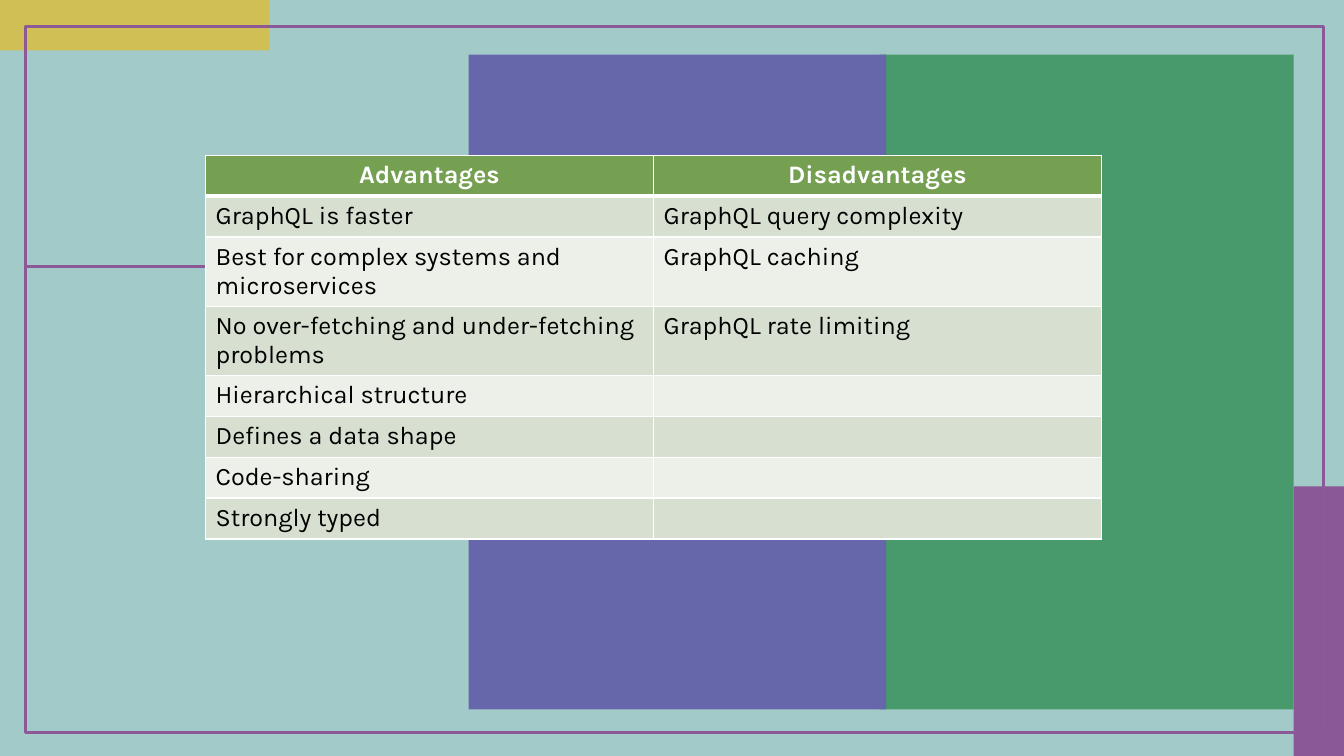
from lxml.etree import SubElement
from pptx import Presentation
from pptx.dml.color import RGBColor
from pptx.enum.shapes import MSO_CONNECTOR as Connector, MSO_SHAPE as Preset
from pptx.enum.text import PP_ALIGN as Align
from pptx.oxml.ns import qn
from pptx.util import Cm, Pt

COLORS = {
    "background": "A1CAC9",
    "gold": "CFBF54",
    "purple": "8A5897",
    "green": "48996B",
    "violet": "6667AB",
    "frame": "8C5896",
    "header": "759F51",
    "odd_row": "D6DFD0",
    "even_row": "ECF0E9",
    "white": "FFFFFF",
    "black": "000000",
}
SLIDE_WIDTH, SLIDE_HEIGHT = 33.87, 19.05
BAR_LENGTH, BAR_THICKNESS = 6.79, 1.27
FRAME_WEIGHT = 2

ADVANTAGES = [
    "GraphQL is faster",
    "Best for complex systems and microservices",
    "No over-fetching and under-fetching problems",
    "Hierarchical structure",
    "Defines a data shape",
    "Code-sharing",
    "Strongly typed",
]
DISADVANTAGES = [
    "GraphQL query complexity",
    "GraphQL caching",
    "GraphQL rate limiting",
]
COLUMNS = {"Advantages": ADVANTAGES, "Disadvantages": DISADVANTAGES}
HEADER_FONT = {"name": "Karla", "size": Pt(18), "bold": True}
BODY_FONT = {**HEADER_FONT, "bold": False}


def rgb(name):
    return RGBColor.from_string(COLORS[name])


def add_block(slide, box, fill=None):
    block = slide.shapes.add_shape(Preset.RECTANGLE, *map(Cm, box))
    block.shadow.inherit = False
    if fill:
        block.fill.solid()
        block.fill.fore_color.rgb = rgb(fill)
        block.line.fill.background()
    else:
        block.fill.background()
        block.line.color.rgb = rgb("frame")
        block.line.width = Pt(FRAME_WEIGHT)
    return block


def add_corner_bars(slide, box):
    left, top, width, height = box
    add_block(slide, (left, top, BAR_LENGTH, BAR_THICKNESS), "gold")
    upright_left = left + width - (BAR_LENGTH + BAR_THICKNESS) / 2
    upright_top = top + height - (BAR_LENGTH + BAR_THICKNESS) / 2
    upright_bar = add_block(
        slide, (upright_left, upright_top, BAR_LENGTH, BAR_THICKNESS), "purple")
    upright_bar.rotation = 90


def add_panels(slide, box):
    left, top, width, height = box
    violet_width, green_width = 10.52, 10.43
    add_block(slide, (left + width - green_width, top, green_width, height), "green")
    add_block(slide, (left, top, violet_width, height), "violet")


def add_frame(slide, box, rule_end):
    left, top = box[:2]
    add_block(slide, box)
    rule_top = top + 6.05
    rule = slide.shapes.add_connector(
        Connector.STRAIGHT, *map(Cm, (left, rule_top, rule_end, rule_top)))
    rule.line.color.rgb = rgb("frame")
    rule.line.width = Pt(FRAME_WEIGHT)
    SubElement(rule._element.spPr, qn("a:effectLst"))


def add_borders(cell, weights):
    properties = cell._tc.get_or_add_tcPr()
    for side, weight in weights.items():
        border = SubElement(properties, qn(f"a:ln{side}"), w=str(Pt(weight)))
        fill = SubElement(border, qn("a:solidFill"))
        SubElement(fill, qn("a:srgbClr"), val=COLORS["white"])


def format_cell(cell, text, row):
    is_header = row == 0
    top_weight = 3 if row == 1 else 1
    bottom_weight = 3 if is_header else 1
    add_borders(cell, {"L": 1, "R": 1, "T": top_weight, "B": bottom_weight})
    cell.fill.solid()
    band = "odd_row" if row % 2 else "even_row"
    cell.fill.fore_color.rgb = rgb("header" if is_header else band)
    cell.text = text
    paragraph = cell.text_frame.paragraphs[0]
    paragraph.alignment = Align.CENTER if is_header else Align.LEFT
    for attribute, value in (HEADER_FONT if is_header else BODY_FONT).items():
        setattr(paragraph.font, attribute, value)
    paragraph.font.color.rgb = rgb("white" if is_header else "black")
    for run in paragraph.runs:
        for attribute, value in (HEADER_FONT if is_header else BODY_FONT).items():
            setattr(run.font, attribute, value)
        run.font.color.rgb = rgb("white" if is_header else "black")


def add_comparison(slide, box):
    row_count = 1 + max(map(len, COLUMNS.values()))
    comparison = slide.shapes.add_table(
        row_count, len(COLUMNS), *map(Cm, box)).table
    for column, (heading, points) in enumerate(COLUMNS.items()):
        texts = [heading, *points]
        texts += [""] * (row_count - len(texts))
        for row, text in enumerate(texts):
            format_cell(comparison.cell(row, column), text, row)


def build_comparison_slide(deck):
    slide = deck.slides.add_slide(deck.slide_layouts[6])
    slide.background.fill.solid()
    slide.background.fill.fore_color.rgb = rgb("background")
    panels = (11.81, 1.38, 20.79, 16.5)
    add_corner_bars(slide, (0, 0, SLIDE_WIDTH, SLIDE_HEIGHT))
    add_panels(slide, panels)
    add_frame(slide, (0.64, 0.66, 32.71, 17.79), rule_end=panels[0])
    add_comparison(slide, (5.18, 3.91, 22.58, 8.24))


def main():
    deck = Presentation()
    deck.slide_width, deck.slide_height = Cm(SLIDE_WIDTH), Cm(SLIDE_HEIGHT)
    build_comparison_slide(deck)
    deck.save("out.pptx")


if __name__ == "__main__":
    main()
